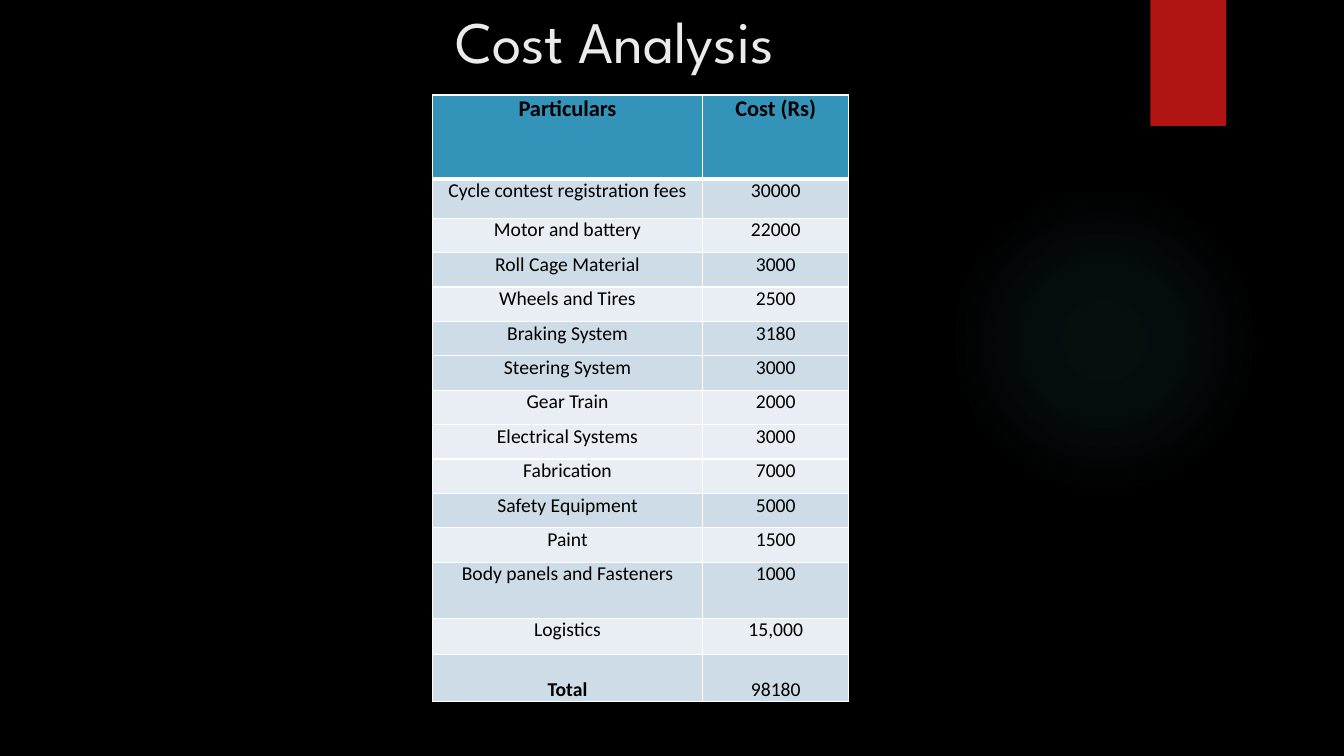
from lxml import etree
from pptx import Presentation
from pptx.dml.color import RGBColor
from pptx.enum.shapes import MSO_SHAPE as Shape
from pptx.enum.text import MSO_ANCHOR as Anchor, MSO_AUTO_SIZE as AutoSize, PP_ALIGN as Align
from pptx.oxml import parse_xml
from pptx.oxml.ns import qn
from pptx.util import Pt

COLORS = {
    "background": "000000", "title": "EBEBEB", "ribbon": "B01513", "glow": "50B9C1",
    "header": "3493B9", "dark": "CDDCE7", "light": "E8EEF3",
    "border": "FFFFFF", "text": "000000",
}
DRAWING_NS = "http://schemas.openxmlformats.org/drawingml/2006/main"

# particulars, cost, row height, row fill
COSTS = [
    ("Particulars", "Cost (Rs)", 60, "header"),
    ("Cycle contest registration fees", "30000", 28, "dark"),
    ("Motor and battery", "22000", 24.6, "light"),
    ("Roll Cage Material", "3000", 24.6, "dark"),
    ("Wheels and Tires", "2500", 24.6, "light"),
    ("Braking System", "3180", 24.6, "dark"),
    ("Steering System", "3000", 24.6, "dark"),
    ("Gear Train", "2000", 24.6, "light"),
    ("Electrical Systems", "3000", 24.6, "light"),
    ("Fabrication", "7000", 24.6, "light"),
    ("Safety Equipment", "5000", 24.6, "dark"),
    ("Paint", "1500", 24.6, "light"),
    ("Body panels and Fasteners", "1000", 40, "dark"),
    ("Logistics", "15,000", 26, "light"),
    ("Total", "98180", 33.5, "dark"),
]
COLUMN_WIDTHS = (193, 104.5)


def rgb(name):
    return RGBColor.from_string(COLORS[name])


def apply(target, **values):
    """Set each given value as an attribute of the target."""
    for name, value in values.items():
        setattr(target, name, value)


def add_plain_shape(slide, kind, left, top, width, height, color):
    shape = slide.shapes.add_shape(kind, Pt(left), Pt(top), Pt(width), Pt(height))
    shape.shadow.inherit = False
    shape.fill.solid()
    shape.fill.fore_color.rgb = rgb(color)
    shape.line.fill.background()
    return shape


def add_glow(slide):
    """Add a faint circle that fades out towards its edge."""
    glow = add_plain_shape(slide, Shape.OVAL, 677.5, 131.8, 221.8, 221.8, "glow")
    stops = "".join(
        f'<a:gs pos="{position * 1000}"><a:srgbClr val="{COLORS["glow"]}">'
        f'<a:alpha val="{opacity * 1000}"/></a:srgbClr></a:gs>'
        for position, opacity in ((0, 7), (36, 6), (69, 0))
    )
    gradient = parse_xml(
        f'<a:gradFill xmlns:a="{DRAWING_NS}"><a:gsLst>{stops}</a:gsLst>'
        '<a:path path="circle"><a:fillToRect l="50000" t="50000" r="50000" b="50000"/>'
        '</a:path></a:gradFill>'
    )
    properties = glow.element.spPr
    properties.replace(properties.find(qn("a:solidFill")), gradient)


def set_title(slide, text):
    title = slide.shapes.title
    apply(title, left=Pt(325.4), top=Pt(0), width=Pt(427.7), height=Pt(54.7))
    frame = title.text_frame
    apply(frame, text=text, word_wrap=True, auto_size=AutoSize.SHAPE_TO_FIT_TEXT,
          vertical_anchor=Anchor.TOP, margin_left=0, margin_right=0,
          margin_top=Pt(3.6), margin_bottom=0)
    heading = frame.paragraphs[0]
    heading.alignment = Align.LEFT
    apply(heading.font, name="League Spartan", size=Pt(42))
    heading.font.color.rgb = rgb("title")


def set_borders(cell, **widths):
    """Draw the cell's edges, with widths in points keyed by L, R, T and B."""
    properties = cell._tc.get_or_add_tcPr()
    for side, width in widths.items():
        edge = etree.SubElement(properties, qn(f"a:ln{side}"), w=str(Pt(width)))
        fill = etree.SubElement(edge, qn("a:solidFill"))
        etree.SubElement(fill, qn("a:srgbClr"), val=COLORS["border"])


def fill_cell(cell, text, fill, size, bold, anchor, top_border, bottom_border):
    apply(cell, text=text, vertical_anchor=anchor,
          margin_left=0, margin_right=0, margin_top=0, margin_bottom=0)
    set_borders(cell, L=1, R=1, T=top_border, B=bottom_border)
    cell.fill.solid()
    cell.fill.fore_color.rgb = rgb(fill)
    entry = cell.text_frame.paragraphs[0]
    entry.alignment = Align.CENTER
    apply(entry.font, name="Calibri", size=Pt(size), bold=bold)
    entry.font.color.rgb = rgb("text")


def add_cost_table(slide):
    total_height = sum(height for _, _, height, _ in COSTS)
    costs = slide.shapes.add_table(
        len(COSTS), len(COLUMN_WIDTHS), Pt(308.9), Pt(67.9),
        Pt(sum(COLUMN_WIDTHS)), Pt(total_height)).table
    for column, width in zip(costs.columns, COLUMN_WIDTHS):
        column.width = Pt(width)
    for index, (particular, cost, height, fill) in enumerate(COSTS):
        costs.rows[index].height = Pt(height)
        is_header, is_total = index == 0, index == len(COSTS) - 1
        for column, text in enumerate((particular, cost)):
            fill_cell(
                costs.cell(index, column), text, fill,
                size=16 if is_header else 14,
                bold=is_header or (is_total and column == 0),
                anchor=Anchor.BOTTOM if is_total else Anchor.TOP,
                top_border=3 if index == 1 else 1,
                bottom_border=3 if is_header else 1)


def main():
    deck = Presentation()
    apply(deck, slide_width=Pt(960), slide_height=Pt(540))
    slide = deck.slides.add_slide(deck.slide_layouts[5])
    slide.background.fill.solid()
    slide.background.fill.fore_color.rgb = rgb("background")
    add_glow(slide)
    add_plain_shape(slide, Shape.RECTANGLE, 821.8, 0, 54, 90, "ribbon")
    set_title(slide, "Cost Analysis")
    add_cost_table(slide)
    deck.save("out.pptx")


if __name__ == "__main__":
    main()
